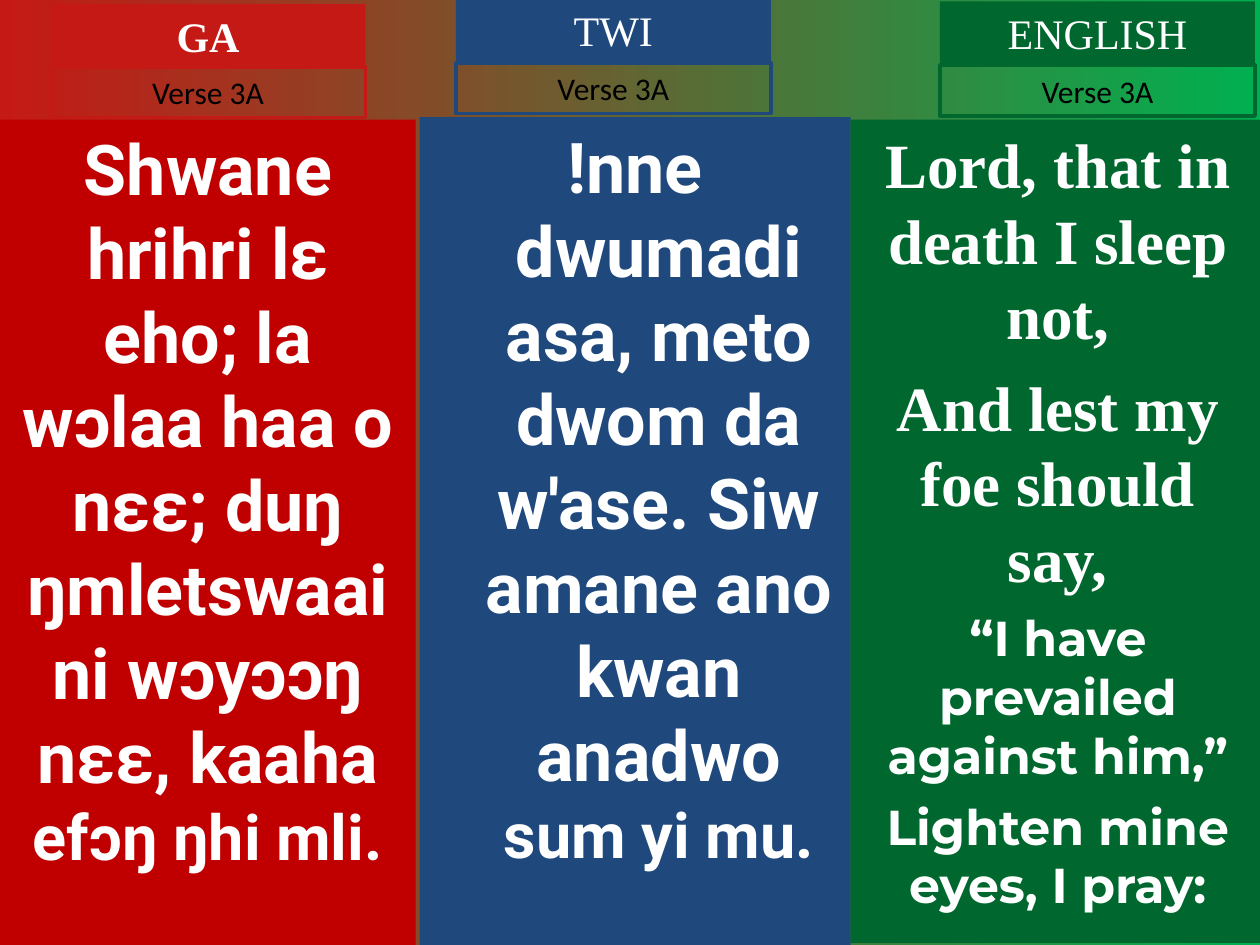
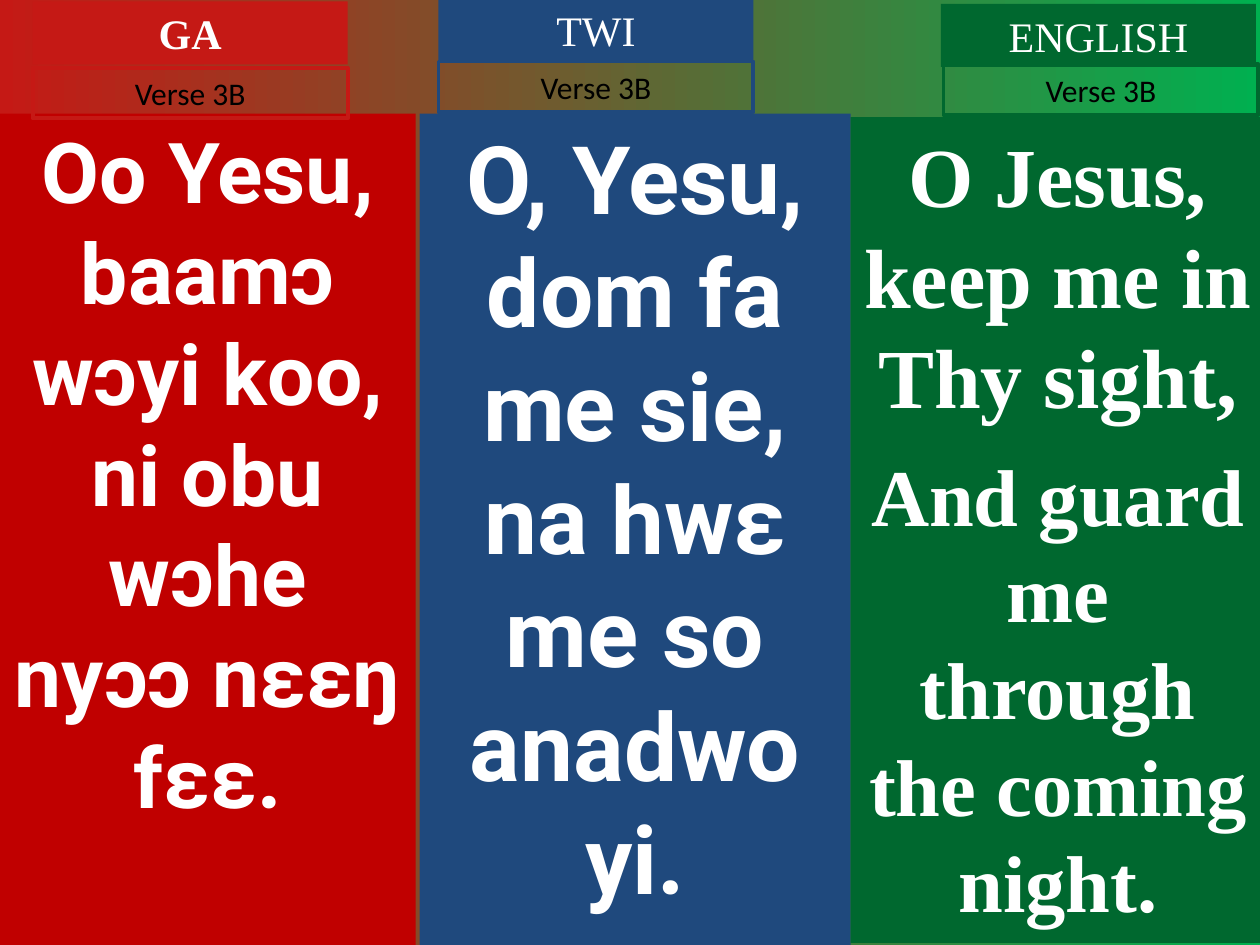
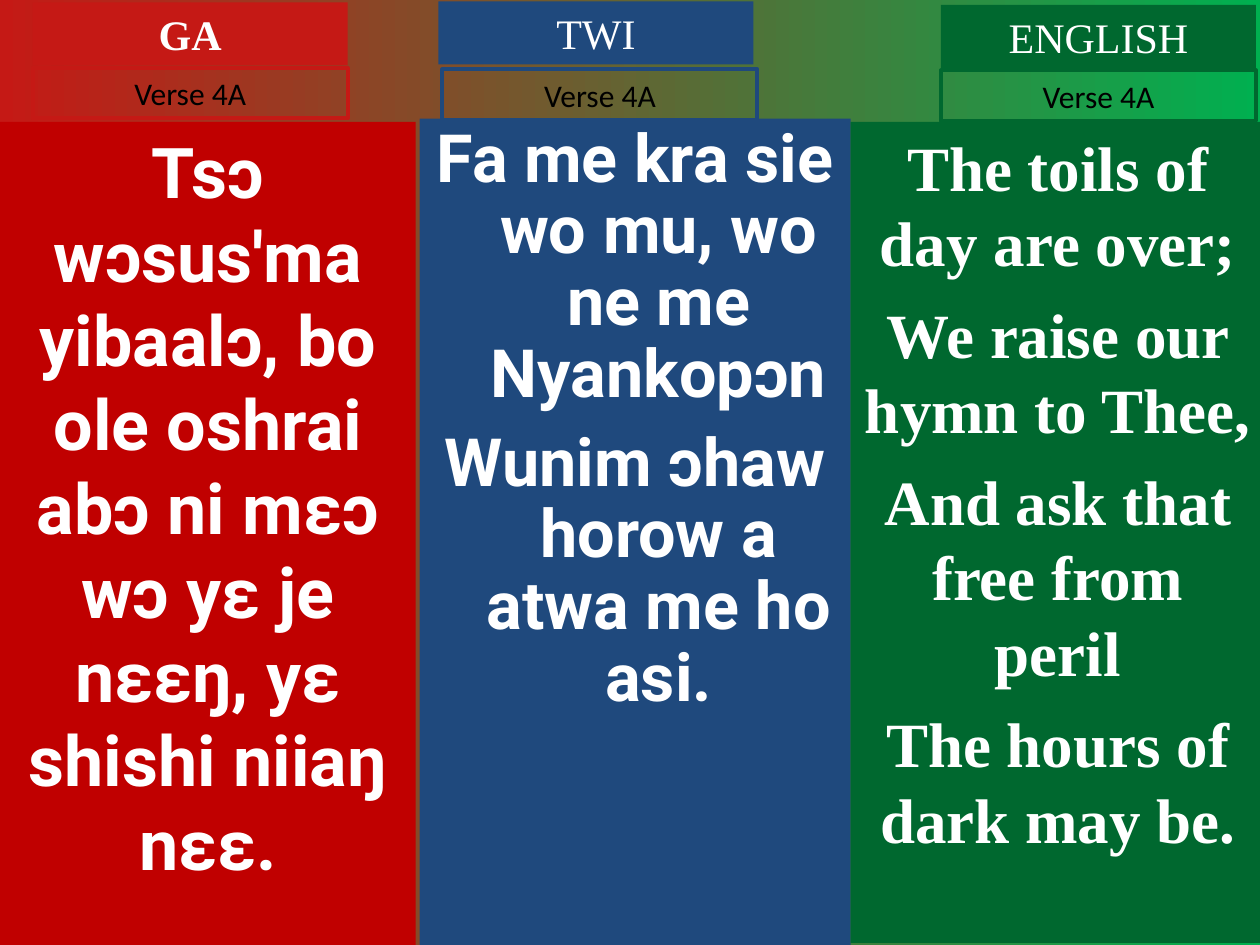
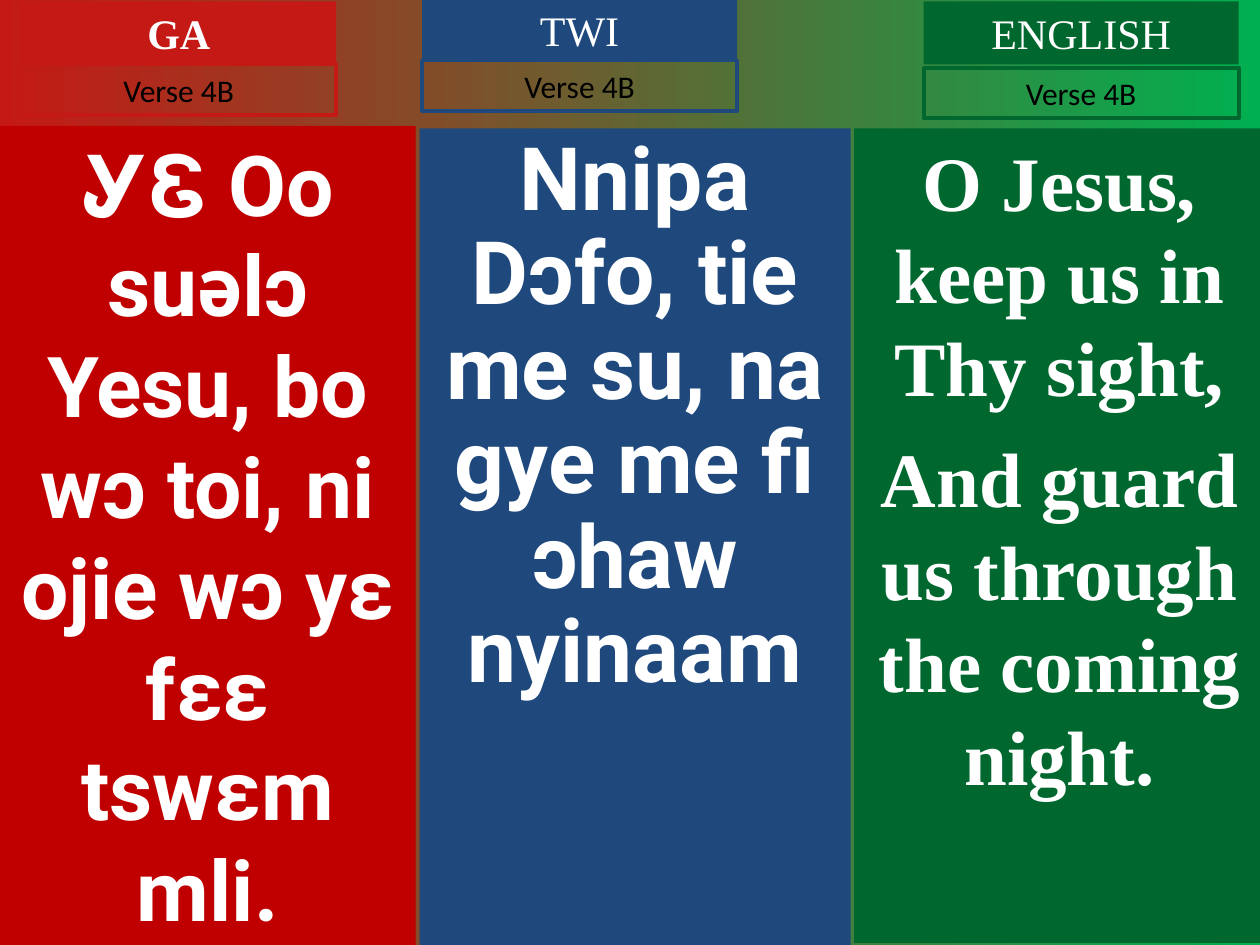
from dataclasses import dataclass

from pptx import Presentation
from pptx.dml.color import RGBColor
from pptx.enum.shapes import MSO_SHAPE
from pptx.enum.text import MSO_ANCHOR, MSO_AUTO_SIZE, PP_ALIGN
from pptx.util import Cm, Pt

RECT = MSO_SHAPE.RECTANGLE
CENTER = PP_ALIGN.CENTER
TOP = MSO_ANCHOR.TOP
GROW = MSO_AUTO_SIZE.SHAPE_TO_FIT_TEXT

WHITE, BLACK = "FFFFFF", "000000"
BACKGROUND = ("C51915", "00B050")
SERIF, ROBOTO = "Times New Roman", "Roboto"
TAG_WIDTH, TITLE_HEIGHT, LABEL_HEIGHT = 6.35, 1.27, 1.02
HANGING = 0.95


@dataclass(frozen=True)
class Language:
    title: str
    tag_color: str
    panel_color: str
    right: float
    bottom: float
    font: str
    bold_title: bool = False


@dataclass(frozen=True)
class Line:
    """A paragraph; tail is its ending, set at tail_size."""
    text: str
    size: float
    before: float = 0
    font: str = ""
    tail: str = ""
    tail_size: float = 0


@dataclass(frozen=True)
class Column:
    """One language on a slide; lengths in cm, each place as (left, top)."""
    panel: tuple[float, float]
    title: tuple[float, float]
    label: tuple[float, float]
    lines: tuple[Line, ...]
    hanging: bool = False
    spacing: float = 1.0


@dataclass(frozen=True)
class Verse:
    name: str
    columns: tuple[Column, Column, Column]


LANGUAGES = (
    Language("GA", "C51915", "C00000", 8.38, 19.05, ROBOTO, bold_title=True),
    Language("TWI", "1F497D", "1F497D", 17.15, 19.05, ROBOTO),
    Language("ENGLISH", "00682F", "00682F", 25.5, 19.01, SERIF),
)

VERSES = (
    Verse("Verse 3A", (
        Column((0, 2.41), (1.02, 0.08), (1.02, 1.35), (
            Line("Shwane hrihri lɛ eho; la wɔlaa haa o nɛɛ; duŋ ŋmletswaai ni wɔyɔɔŋ nɛɛ, kaaha ",
                 40, tail="efɔŋ ŋhi mli.", tail_size=36),)),
        Column((8.46, 2.36), (9.19, -0.03), (9.19, 1.27), (
            Line("!nne dwumadi asa, meto dwom da w'ase. Siw amane ano kwan anadwo ",
                 40, tail="sum yi mu.", tail_size=36),), hanging=True),
        Column((17.15, 2.41), (18.95, 0.03), (18.95, 1.32), (
            Line("Lord, that in death I sleep not,", 36),
            Line("And lest my foe should say,", 36, 9),
            Line("“I have prevailed against him,”", 28, 7, "Montserrat"),
            Line("Lighten mine eyes, I pray:", 28, 7, "Montserrat"))),
    )),
    Verse("Verse 3B", (
        Column((0, 2.29), (0.66, 0.03), (0.66, 1.37), (
            Line("Oo Yesu, baamɔ wɔyi koo, ni obu wɔhe nyɔɔ nɛɛŋ fɛɛ.", 48),)),
        Column((8.46, 2.29), (8.84, -0.03), (8.84, 1.24), (
            Line("O, Yesu, dom fa me sie, na hwɛ me so anadwo yi.", 54),)),
        Column((17.15, 2.36), (18.97, 0.08), (19.02, 1.3), (
            Line("O Jesus, keep me in Thy sight,", 48),
            Line("And guard me through the coming night.", 46, 11.5))),
    )),
    Verse("Verse 4A", (
        Column((0, 2.46), (0.66, 0.05), (0.66, 1.37), (
            Line("Tsɔ wɔsus'ma yibaalɔ, bo ole oshrai abɔ ni mɛɔ wɔ yɛ je nɛɛŋ, "
                 "yɛ shishi niiaŋ nɛɛ.", 40),)),
        Column((8.46, 2.39), (8.84, 0.03), (8.92, 1.4), (
            Line("Fa me kra sie wo mu, wo ne me Nyankopɔn", 38),
            Line("Wunim ɔhaw horow a atwa me ho asi.", 38, 9.5)),
            hanging=True, spacing=0.9),
        Column((17.15, 2.46), (18.97, 0.1), (18.97, 1.42), (
            Line("The toils of day are over;", 36),
            Line("We raise our hymn to Thee,", 36, 9),
            Line("And ask that free from peril", 36, 9),
            Line("The hours of dark may be.", 36, 9))),
    )),
    Verse("Verse 4B", (
        Column((0, 2.54), (0.43, 0.03), (0.43, 1.3), (
            Line("ᎩᏋ Oo suǝlɔ Yesu, bo wɔ toi, ni ojie wɔ yɛ fɛɛ tswɛm mli.", 48),)),
        Column((8.46, 2.59), (8.51, -0.03), (8.51, 1.22), (
            Line("Nnipa Dɔfo, tie me su, na gye me fi ɔhaw nyinaam", 50),), spacing=0.9),
        Column((17.22, 2.59), (18.62, 0.03), (18.62, 1.37), (
            Line("O Jesus, keep us in Thy sight,", 44),
            Line("And guard us through the coming night.", 44, 11))),
    )),
)


def rgb(color: str) -> RGBColor:
    return RGBColor.from_string(color)


def add_box(s, place: tuple[float, float], width: float, height: float,
            fill: str = "", line: str = ""):
    sp = s.shapes.add_shape(RECT, Cm(place[0]), Cm(place[1]), Cm(width), Cm(height))
    sp.shadow.inherit = False
    if fill:
        sp.fill.solid()
        sp.fill.fore_color.rgb = rgb(fill)
    else:
        sp.fill.background()
    if line:
        sp.line.color.rgb = rgb(line)
        sp.line.width = Pt(2.25)
    else:
        sp.line.fill.background()
    tf = sp.text_frame
    tf.word_wrap = True
    tf.vertical_anchor = TOP
    return sp


def style(p, font: str, size: float, color: str, bold: bool) -> None:
    p.alignment = CENTER
    p.font.name = font
    p.font.size = Pt(size)
    p.font.color.rgb = rgb(color)
    p.font.bold = bold


def add_tag(s, place: tuple[float, float], height: float, text: str, font: str,
            size: float, color: str, bold: bool = False, fill: str = "", line: str = "") -> None:
    tf = add_box(s, place, TAG_WIDTH, height, fill, line).text_frame
    tf.auto_size = GROW
    p = tf.paragraphs[0]
    p.text = text
    style(p, font, size, color, bold)


def add_panel(s, language: Language, column: Column) -> None:
    left, top = column.panel
    tf = add_box(s, column.panel, language.right - left, language.bottom - top,
                 fill=language.panel_color).text_frame
    for i, line in enumerate(column.lines):
        p = tf.add_paragraph() if i else tf.paragraphs[0]
        if column.hanging:
            pPr = p._p.get_or_add_pPr()
            pPr.set("marL", str(Cm(HANGING)))
            pPr.set("indent", str(-Cm(HANGING)))
        if line.before:
            p.space_before = Pt(line.before)
        if column.spacing != 1:
            p.line_spacing = column.spacing
        p.add_run().text = line.text
        if line.tail:
            r = p.add_run()
            r.text = line.tail
            r.font.size = Pt(line.tail_size)
        style(p, line.font or language.font, line.size, WHITE, True)


def add_verse(prs, verse: Verse) -> None:
    s = prs.slides.add_slide(prs.slide_layouts[6])
    fill = s.background.fill
    fill.gradient()
    fill.gradient_angle = 0
    for stop, color in zip(fill.gradient_stops, BACKGROUND):
        stop.color.rgb = rgb(color)
    for language, column in zip(LANGUAGES, verse.columns):
        add_panel(s, language, column)
        add_tag(s, column.title, TITLE_HEIGHT, language.title, SERIF, 24, WHITE,
                bold=language.bold_title, fill=language.tag_color)
        add_tag(s, column.label, LABEL_HEIGHT, verse.name, "Calibri", 18, BLACK,
                line=language.tag_color)


def main() -> None:
    prs = Presentation()
    prs.slide_width, prs.slide_height = Cm(25.4), Cm(19.05)
    for verse in VERSES:
        add_verse(prs, verse)
    prs.save("out.pptx")


if __name__ == "__main__":
    main()
